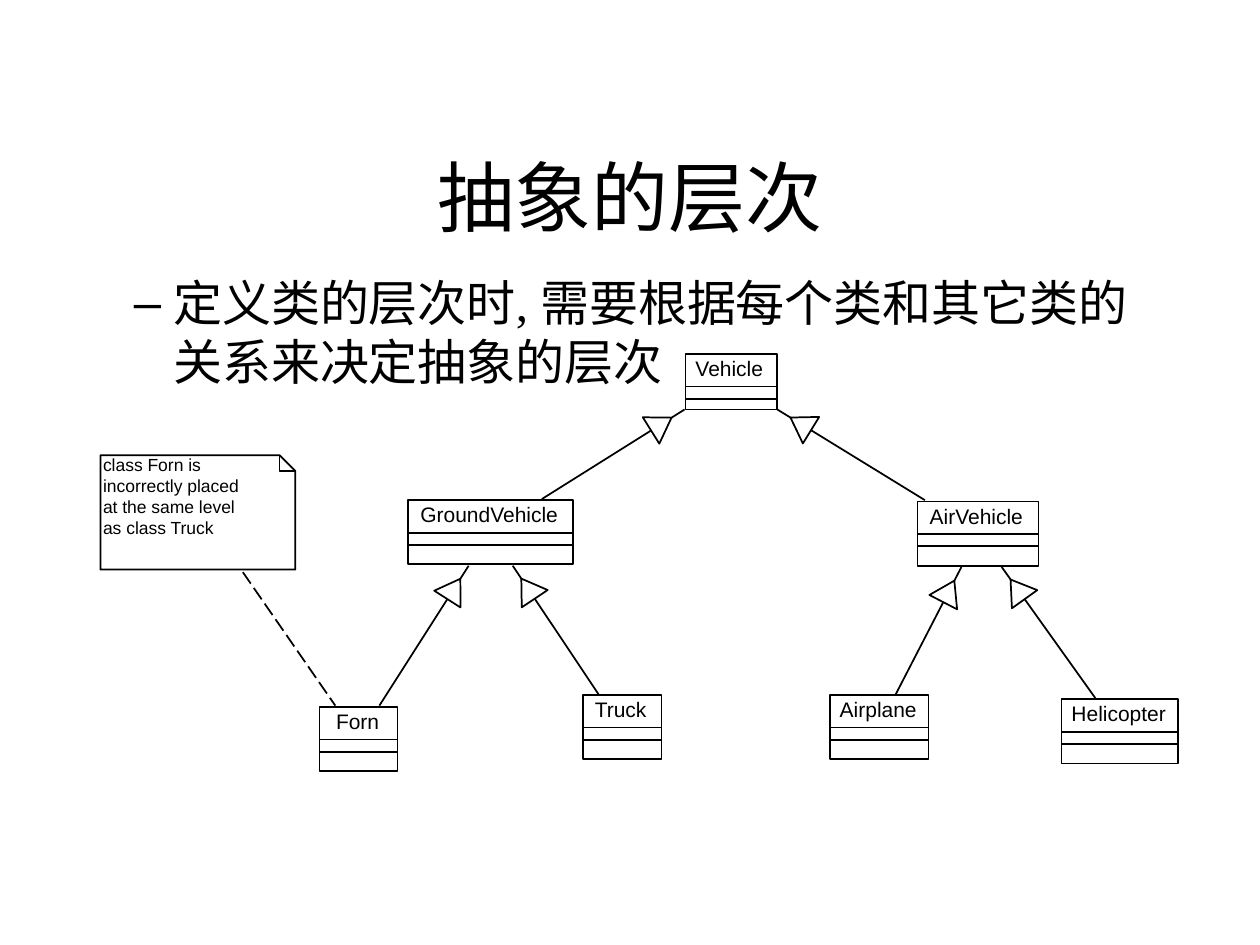
from dataclasses import dataclass
from math import hypot

from pptx import Presentation
from pptx.dml.color import RGBColor
from pptx.enum.dml import MSO_LINE
from pptx.enum.shapes import MSO_CONNECTOR, MSO_SHAPE
from pptx.enum.text import MSO_ANCHOR, MSO_AUTO_SIZE, PP_ALIGN
from pptx.oxml.ns import qn
from pptx.util import Pt


@dataclass(frozen=True)
class Theme:
    ink: RGBColor = RGBColor(0, 0, 0)
    paper: RGBColor = RGBColor(255, 255, 255)
    heading_font: str = "Times New Roman"
    diagram_font: str = "Arial"
    title_size: int = 44
    body_size: int = 28
    class_size: int = 12
    note_size: int = 10
    line_width: int = 1


class ClassDiagramSlide:
    """Draws on one slide in one theme; all lengths are in points."""

    def __init__(self, slide, theme):
        self.slide = slide
        self.shapes = slide.shapes
        self.theme = theme

    def format_text(self, text_frame, font_name, size):
        for paragraph in text_frame.paragraphs:
            for run in paragraph.runs:
                run.font.name = font_name
                run.font.size = Pt(size)
                run.font.color.rgb = self.theme.ink

    def format_outline(self, shape, filled=False):
        shape.shadow.inherit = False
        if filled:
            shape.fill.solid()
            shape.fill.fore_color.rgb = self.theme.paper
        else:
            shape.fill.background()
        shape.line.color.rgb = self.theme.ink
        shape.line.width = Pt(self.theme.line_width)

    def placeholder(self, shape, text, box, size, anchor):
        shape.left, shape.top, shape.width, shape.height = map(Pt, box)
        text_frame = shape.text_frame
        text_frame.text = text
        text_frame.word_wrap = True
        text_frame.auto_size = MSO_AUTO_SIZE.NONE
        text_frame.vertical_anchor = anchor
        text_frame.margin_left = text_frame.margin_right = 0
        text_frame.margin_top = text_frame.margin_bottom = 0
        paragraph = text_frame.paragraphs[0]
        paragraph.space_before = Pt(0)
        self.format_text(text_frame, self.theme.heading_font, size)
        return paragraph

    def title(self, text, box):
        paragraph = self.placeholder(self.shapes.title, text, box,
                                     self.theme.title_size, MSO_ANCHOR.BOTTOM)
        paragraph.alignment = PP_ALIGN.CENTER

    def body(self, text, box):
        paragraph = self.placeholder(self.slide.placeholders[1], text, box,
                                     self.theme.body_size, MSO_ANCHOR.TOP)
        paragraph.level = 1
        properties = paragraph._p.get_or_add_pPr()
        properties.set("marL", str(Pt(45)))
        properties.set("indent", str(Pt(-22.5)))
        bullet = properties.makeelement(qn("a:buChar"), {"char": "–"})
        properties.append(bullet)

    def label(self, text, left, top, width, height, size):
        text_box = self.shapes.add_textbox(*map(Pt, (left, top, width, height)))
        text_box.text_frame.text = text
        text_box.text_frame.word_wrap = False
        self.format_text(text_box.text_frame, self.theme.diagram_font, size)

    def line(self, start, end, dashed=False):
        connector = self.shapes.add_connector(
            MSO_CONNECTOR.STRAIGHT, *map(Pt, (*start, *end)))
        connector.line.color.rgb = self.theme.ink
        connector.line.width = Pt(self.theme.line_width)
        if dashed:
            connector.line.dash_style = MSO_LINE.LONG_DASH
        properties = connector._element.spPr
        properties.append(properties.makeelement(qn("a:effectLst"), {}))

    def outline(self, points, close=True, filled=False):
        start, *others = [tuple(map(Pt, point)) for point in points]
        builder = self.shapes.build_freeform(*start)
        builder.add_line_segments(others, close=close)
        self.format_outline(builder.convert_to_shape(), filled)

    def class_box(self, name, left, top, width, label_width, height=36.7):
        box = self.shapes.add_shape(
            MSO_SHAPE.RECTANGLE, *map(Pt, (left, top, width, height)))
        self.format_outline(box)
        label_left = left + (width - label_width) / 2 - 0.5
        self.label(name, label_left, top - 2.6, label_width, 21.6,
                   self.theme.class_size)
        for offset in (18.6, 25.6):
            self.line((left, top + offset), (left + width, top + offset))

    def inheritance(self, child, parent):
        """Line with a hollow triangle a little before the parent end."""
        gap, length, half_base = 8.8, 13.8, 8.9
        self.line(child, parent)
        distance = hypot(child[0] - parent[0], child[1] - parent[1])
        across = (child[0] - parent[0]) / distance
        down = (child[1] - parent[1]) / distance

        def point(along, sideways):
            return (parent[0] + along * across - sideways * down,
                    parent[1] + along * down + sideways * across)

        base = gap + length
        self.outline([point(gap, 0), point(base, half_base),
                      point(base, -half_base)], filled=True)

    def note(self, text, left, top, width, height, fold=9):
        right, bottom = left + width, top + height
        fold_start, fold_end = (right - fold, top), (right, top + fold)
        self.outline([(left, top), fold_start, fold_end,
                      (right, bottom), (left, bottom)])
        self.outline([fold_start, (right - fold, top + fold), fold_end],
                     close=False)
        self.label(text, left - 5.6, top - 4.2, 95, 53.2, self.theme.note_size)


# name, left, top, width, label width, optional height
CLASSES = [
    ("Vehicle", 391.7, 202.3, 52.2, 54, 31.7),
    ("GroundVehicle", 233.3, 285.8, 94.3, 93.6),
    ("AirVehicle", 524.2, 286.6, 69.3, 68.4),
    ("Truck", 333.2, 397.2, 44.8, 44.6),
    ("Airplane", 474.2, 397.2, 56.4, 58.3),
    ("Helicopter", 606.6, 399.6, 66.6, 68.4),
    ("Forn", 182.6, 404, 44.6, 38.9),
]

# child end, parent end
INHERITANCE = [
    ((309.6, 285.2), (391.2, 234)),
    ((528.5, 285.8), (444.2, 234)),
    ((342, 396.7), (293, 323.3)),
    ((511.9, 396.7), (549.4, 324)),
    ((625.9, 398.9), (572.4, 324)),
    ((216.8, 403.2), (267.8, 323.3)),
]


def main():
    presentation = Presentation()
    presentation.slide_width, presentation.slide_height = Pt(720), Pt(540)
    slide = presentation.slides.add_slide(presentation.slide_layouts[1])
    diagram = ClassDiagramSlide(slide, Theme())

    diagram.title("抽象的层次", (54, 48, 612, 90))
    diagram.body("定义类的层次时, 需要根据每个类和其它类的关系来决定抽象的层次",
                 (54, 156, 612, 67))
    for class_values in CLASSES:
        diagram.class_box(*class_values)
    for child, parent in INHERITANCE:
        diagram.inheritance(child, parent)
    diagram.line((138.8, 327), (191.6, 403.2), dashed=True)
    diagram.note("class Forn is\nincorrectly placed\nat the same level\nas class Truck",
                 57.4, 260.2, 111.4, 65.3)

    presentation.save("out.pptx")


if __name__ == "__main__":
    main()
